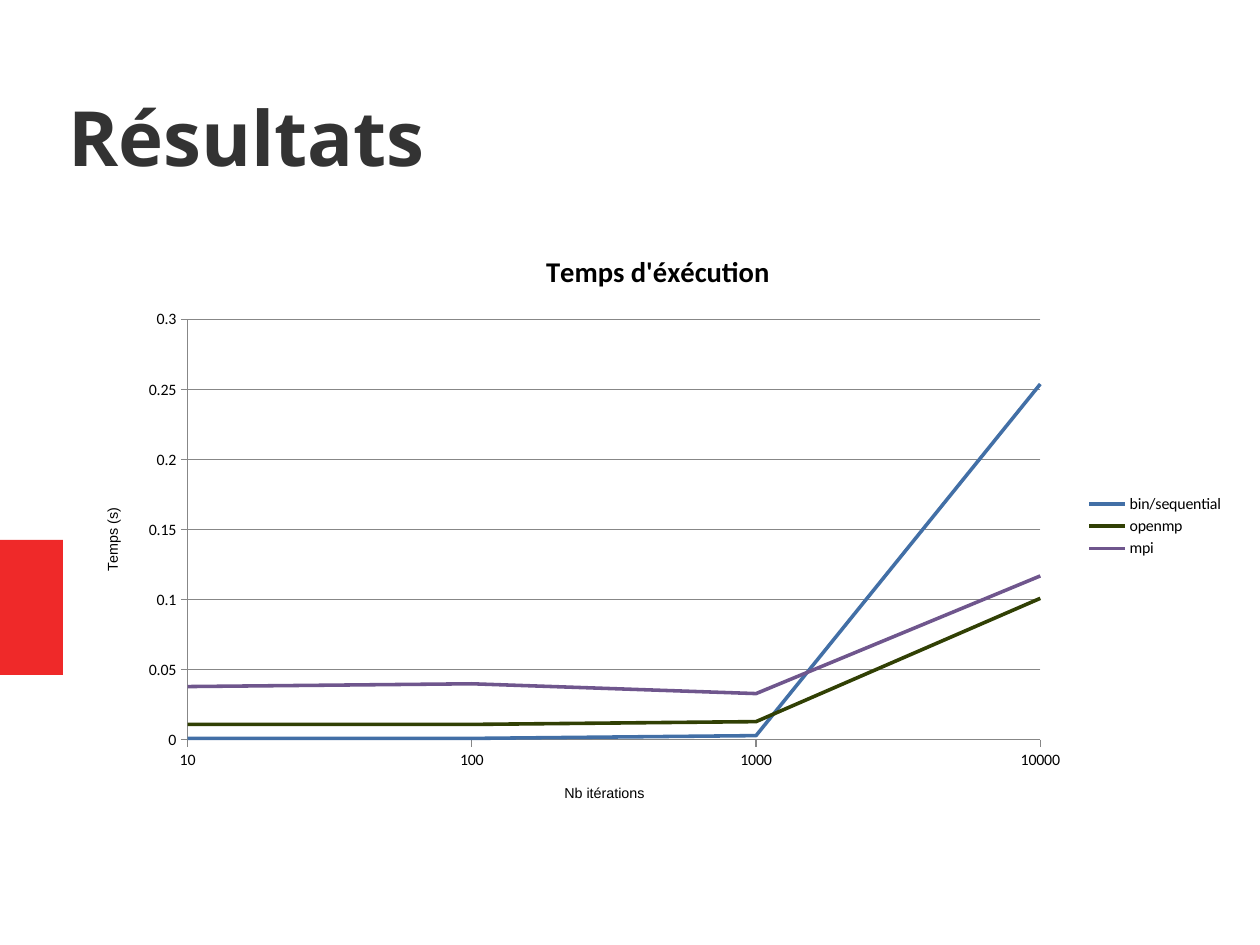
from lxml.etree import SubElement
from pptx import Presentation
from pptx.chart.data import CategoryChartData
from pptx.dml.color import RGBColor
from pptx.enum.chart import XL_CHART_TYPE, XL_LEGEND_POSITION, XL_TICK_MARK
from pptx.enum.shapes import MSO_SHAPE
from pptx.enum.text import MSO_ANCHOR, PP_ALIGN
from pptx.oxml.ns import qn
from pptx.util import Cm, Pt

ITERATIONS = ["10", "100", "1000", "10000"]
TIMINGS = [
    ("bin/sequential", [0.001, 0.001, 0.003, 0.254], "426FA6", 2.25),
    ("openmp", [0.011, 0.011, 0.013, 0.101], "314004", 2.27),
    ("mpi", [0.038, 0.04, 0.033, 0.117], "6F568D", 2.25),
]
PLOT_BOX = {"x": 0.093, "y": 0.153, "w": 0.738, "h": 0.706}


def color(value):
    return RGBColor.from_string(value)


def style_font(font, name, size, value="000000", bold=False):
    font.name = name
    font.size = Pt(size)
    font.bold = bold
    font.color.rgb = color(value)


def style_line(line, value, width):
    line.color.rgb = color(value)
    line.width = Pt(width)


def add_side_mark(page, left, top, width, height):
    mark = page.shapes.add_shape(MSO_SHAPE.RECTANGLE, left, top, width, height)
    mark.shadow.inherit = False
    mark.fill.solid()
    mark.fill.fore_color.rgb = color("EF2929")
    mark.line.fill.background()


def add_title(page, text, left, top, width, height):
    title = page.shapes.title
    title.left, title.top, title.width, title.height = left, top, width, height
    frame = title.text_frame
    frame.text = text
    frame.vertical_anchor = MSO_ANCHOR.MIDDLE
    frame.margin_left = frame.margin_right = 0
    frame.margin_top = frame.margin_bottom = 0
    para = frame.paragraphs[0]
    para.alignment = PP_ALIGN.LEFT
    style_font(para.font, "Open Sans", 48, "333333", True)


def style_axis(axis, text):
    axis.axis_title.text_frame.text = text
    para = axis.axis_title.text_frame.paragraphs[0]
    style_font(para.font, "Arial", 9)
    style_font(axis.tick_labels.font, "Calibri", 10)
    style_line(axis.format.line, "878787", 0.75)
    axis.major_tick_mark = XL_TICK_MARK.OUTSIDE
    axis.minor_tick_mark = XL_TICK_MARK.NONE


def place_plot(chart):
    area = chart.element.find(".//" + qn("c:plotArea"))
    for layout in area.findall(qn("c:layout")):
        area.remove(layout)
    layout = SubElement(area, qn("c:layout"))
    area.insert(0, layout)
    manual = SubElement(layout, qn("c:manualLayout"))
    settings = {"layoutTarget": "inner", "xMode": "edge", "yMode": "edge"}
    for name, value in {**settings, **PLOT_BOX}.items():
        SubElement(manual, qn("c:" + name)).set("val", str(value))


def fill_white(parent):
    properties = SubElement(parent, qn("c:spPr"))
    fill = SubElement(properties, qn("a:solidFill"))
    SubElement(fill, qn("a:srgbClr")).set("val", "FFFFFF")
    SubElement(SubElement(properties, qn("a:ln")), qn("a:noFill"))
    return properties


def fill_backgrounds(chart):
    fill_white(chart.element.find(".//" + qn("c:plotArea")))
    background = fill_white(chart.element)
    chart.element.find(qn("c:chart")).addnext(background)


def start_lines_on_axis(chart):
    axis = chart.element.find(".//" + qn("c:valAx"))
    for crossing in axis.findall(qn("c:crossBetween")):
        axis.remove(crossing)
    crossing = SubElement(axis, qn("c:crossBetween"))
    crossing.set("val", "midCat")
    axis.find(qn("c:crosses")).addnext(crossing)


def add_timing_chart(page, left, top, width, height):
    data = CategoryChartData()
    data.categories = ITERATIONS
    for name, values, _, _ in TIMINGS:
        data.add_series(name, values)
    chart = page.shapes.add_chart(
        XL_CHART_TYPE.LINE, left, top, width, height, data
    ).chart
    style_font(chart.font, "Arial", 10)
    chart.plots[0].vary_by_categories = False
    for series, (_, _, value, weight) in zip(chart.plots[0].series, TIMINGS):
        series.smooth = False
        style_line(series.format.line, value, weight)

    chart.has_title = True
    chart.chart_title.include_in_layout = False
    chart.chart_title.text_frame.text = "Temps d'éxécution"
    para = chart.chart_title.text_frame.paragraphs[0]
    style_font(para.font, "Calibri", 18, bold=True)

    chart.has_legend = True
    chart.legend.position = XL_LEGEND_POSITION.RIGHT
    chart.legend.include_in_layout = False
    style_font(chart.legend.font, "Calibri", 10)

    style_axis(chart.category_axis, "Nb itérations")
    style_axis(chart.value_axis, "Temps (s)")
    chart.value_axis.minimum_scale = 0
    chart.value_axis.has_major_gridlines = True
    style_line(chart.value_axis.major_gridlines.format.line, "878787", 0.75)
    start_lines_on_axis(chart)
    place_plot(chart)
    fill_backgrounds(chart)


def main():
    deck = Presentation()
    deck.slide_width, deck.slide_height = Cm(28), Cm(21)
    page = deck.slides.add_slide(deck.slide_layouts[5])
    add_side_mark(page, Cm(0), Cm(12), Cm(1.4), Cm(3))
    add_timing_chart(page, Cm(1.78), Cm(5.08), Cm(25.68), Cm(13.23))
    add_title(page, "Résultats", Cm(1.52), Cm(1.02), Cm(23.8), Cm(4))
    deck.save("out.pptx")


if __name__ == "__main__":
    main()
